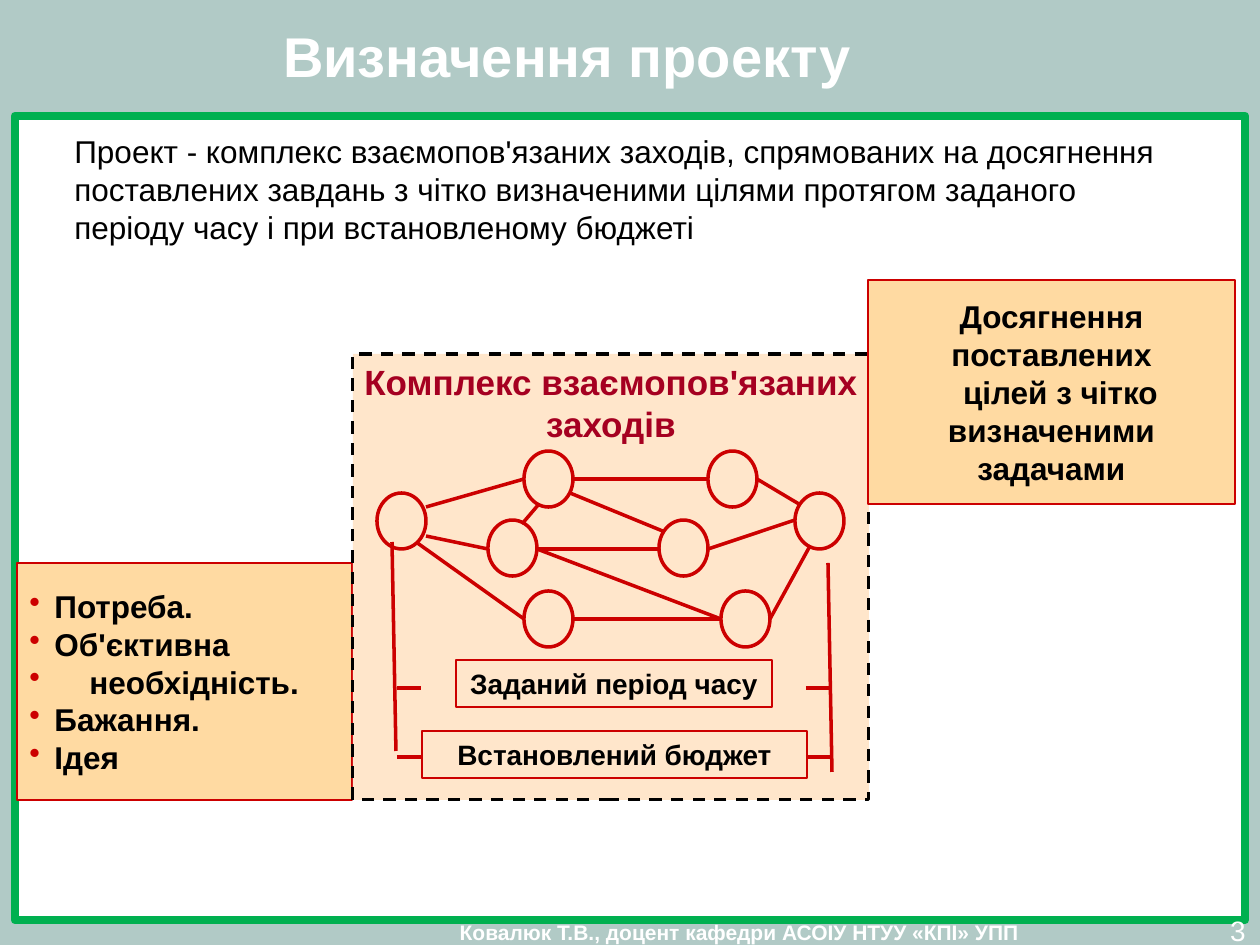
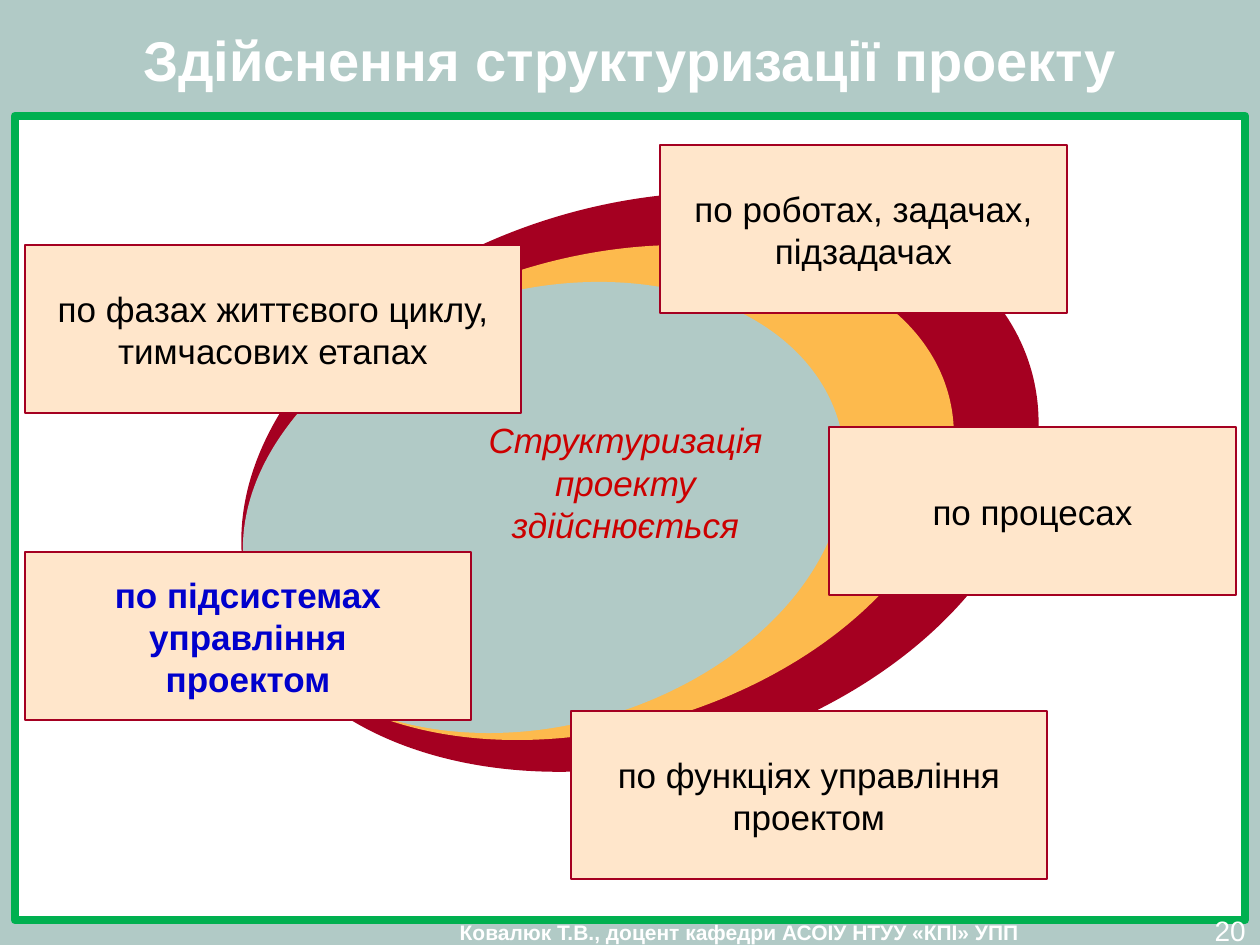
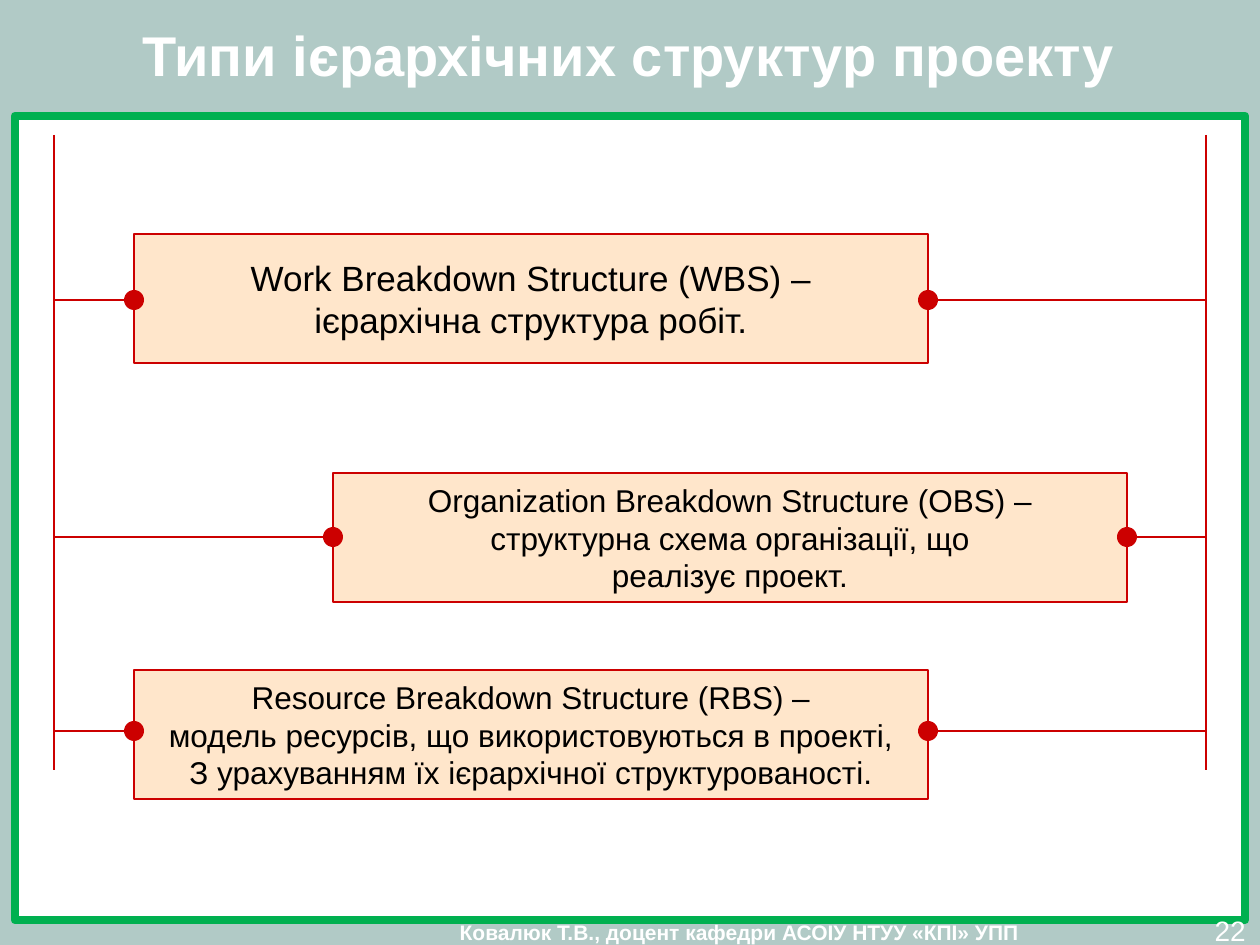
from lxml import etree
from pptx import Presentation
from pptx.dml import color as tint
from pptx.enum import dml, shapes, text
from pptx.oxml import ns
from pptx.util import Emu, Pt

COLORS = {
    "back": "B1CAC6", "white": "FFFFFF", "black": "000000", "green": "00B050",
    "red": "CC0000", "wine": "A50021", "blue": "0000CC", "amber": "FDBA4D",
    "sand": "FFDAA2", "cream": "FFE6CB",
}
FONT = "Arial"
PX = 914400 / 126
FOOTER = "Ковалюк Т.В., доцент кафедри АСОІУ НТУУ «КПІ» УПП"
RECT = shapes.MSO_SHAPE.RECTANGLE
OVAL = shapes.MSO_SHAPE.OVAL
LEFT, CENTER, RIGHT = text.PP_ALIGN.LEFT, text.PP_ALIGN.CENTER, text.PP_ALIGN.RIGHT
TOP, MIDDLE = text.MSO_ANCHOR.TOP, text.MSO_ANCHOR.MIDDLE


def px(length):
    return Emu(round(length * PX))


def rgb(name):
    return tint.RGBColor.from_string(COLORS[name])


class Deck:
    """Holds the shared style and the slide being built."""

    def __init__(self):
        self.prs = Presentation()
        self.prs.slide_width, self.prs.slide_height = px(1260), px(945)
        self.slide = None
        fill = self.prs.slide_master.background.fill
        fill.solid()
        fill.fore_color.rgb = rgb("back")

    def new_slide(self, title, title_box, number):
        self.slide = self.prs.slides.add_slide(self.prs.slide_layouts[5])
        self.label((323, 920, 833, 25), [FOOTER], size=12, color="white", bold=True,
                   align=CENTER, inset=0)
        self.box((15, 116, 1230, 804), fill="white", line="green", width=5)
        heading = self.slide.shapes.title
        for side, length in zip(("left", "top", "width", "height"), title_box):
            setattr(heading, side, px(length))
        self.set_text(heading.text_frame, [title], size=32, color="white", bold=True,
                      align=CENTER, anchor=MIDDLE)
        self.label((1186, 908, 72, 37), [number], size=16, color="white", align=RIGHT)

    def set_text(self, frame, lines, size=18, color="black", bold=False, italic=False,
                 align=LEFT, anchor=TOP, wrap=True, inset=6):
        settings = {"word_wrap": wrap, "auto_size": text.MSO_AUTO_SIZE.NONE,
                    "vertical_anchor": anchor,
                    "margin_top": px(inset), "margin_bottom": px(inset)}
        for name, value in settings.items():
            setattr(frame, name, value)
        look = {"name": FONT, "size": Pt(size), "bold": bold, "italic": italic}
        for i, line in enumerate(lines):
            para = frame.add_paragraph() if i else frame.paragraphs[0]
            para.text = line
            para.alignment = align
            for run in para.runs:
                for name, value in look.items():
                    setattr(run.font, name, value)
                run.font.color.rgb = rgb(color)

    def label(self, box, lines, **style):
        area = self.slide.shapes.add_textbox(*map(px, box))
        self.set_text(area.text_frame, lines, **style)

    def box(self, box, lines=(), kind=RECT, fill=None, line=None, width=1, dash=None,
            turn=0, **style):
        shape = self.slide.shapes.add_shape(kind, *map(px, box))
        shape.shadow.inherit = False
        shape.rotation = turn
        if fill:
            shape.fill.solid()
            shape.fill.fore_color.rgb = rgb(fill)
        else:
            shape.fill.background()
        if line:
            shape.line.color.rgb = rgb(line)
            shape.line.width = Pt(width)
            shape.line.dash_style = dash
        else:
            shape.line.fill.background()
        if lines:
            self.set_text(shape.text_frame, lines,
                          **{"align": CENTER, "anchor": MIDDLE, "wrap": False, **style})
        return shape

    def line(self, x1, y1, x2, y2, width=2):
        link = self.slide.shapes.add_connector(
            shapes.MSO_CONNECTOR.STRAIGHT, *map(px, (x1, y1, x2, y2)))
        link.line.color.rgb = rgb("red")
        link.line.width = Pt(width)
        etree.SubElement(link.element.spPr, ns.qn("a:effectLst"))

    def indent(self, para, margin, bullet=False):
        props = para._p.get_or_add_pPr()
        props.set("marL", str(px(margin)))
        props.set("indent", str(px(-margin if bullet else 0)))
        if bullet:
            bullet_color = etree.SubElement(props, ns.qn("a:buClr"))
            etree.SubElement(bullet_color, ns.qn("a:srgbClr")).set("val", COLORS["red"])
            etree.SubElement(props, ns.qn("a:buChar")).set("char", "•")


def definition_slide(deck):
    deck.new_slide("Визначення проекту", (0, 16, 1134, 79), "3")
    deck.label((62, 126, 1134, 127), [
        "Проект - комплекс взаємопов'язаних заходів, спрямованих на досягнення "
        "поставлених завдань з чітко визначеними цілями протягом заданого "
        "періоду часу і при встановленому бюджеті"])

    # Reasons for the project
    reasons = deck.box((17, 563, 335, 237),
                       ["Потреба.", "Об'єктивна", "необхідність.", "Бажання.", "Ідея"],
                       fill="sand", line="red", width=1.5, bold=True, align=LEFT)
    for i, para in enumerate(reasons.text_frame.paragraphs):
        deck.indent(para, 60 if i == 2 else 25, bullet=True)

    # Network of activities
    deck.box((353, 354, 516, 446), ["Комплекс взаємопов'язаних", "заходів"],
             fill="cream", line="black", width=1.75, dash=dml.MSO_LINE.DASH,
             size=20, color="wine", bold=True, anchor=TOP)
    activities = [(377, 493), (524, 451), (708, 451), (795, 493),
                  (659, 520), (488, 520), (524, 591), (721, 591)]
    for x, y in activities:
        deck.box((x, y, 49, 56), kind=OVAL, line="red", width=2)
    links = [
        (426, 507, 524, 479), (426, 536, 488, 549), (537, 549, 659, 549),
        (708, 549, 795, 520), (573, 479, 708, 479), (757, 479, 799, 504),
        (570, 493, 665, 532), (539, 504, 522, 524), (416, 542, 524, 619),
        (573, 619, 721, 619), (770, 619, 810, 546), (537, 549, 721, 619),
    ]
    for link in links:
        deck.line(*link)

    # Time and budget limits
    deck.line(828, 563, 832, 772)
    deck.line(392, 542, 396, 751)
    for y in (688, 757):
        deck.line(806, y, 832, y)
        deck.line(397, y, 421, y)
    limits = [((456, 660, 316, 47), "Заданий період часу"),
              ((422, 731, 385, 47), "Встановлений бюджет")]
    for box, limit in limits:
        deck.box(box, [limit], line="red", width=0.75, size=16, bold=True)

    # Result of the project
    result = deck.box((868, 280, 367, 224),
                      ["Досягнення", "поставлених", "цілей з чітко", "визначеними",
                       "задачами"],
                      fill="sand", line="red", width=1.5, bold=True)
    deck.indent(result.text_frame.paragraphs[2], 18)


def structuring_slide(deck):
    deck.new_slide("Здійснення структуризації проекту", (0, 16, 1260, 87), "20")

    # Nested ellipses
    rings = [((233, 204, 814, 556), "wine"), ((236, 257, 726, 471), "amber"),
             ((237, 290, 614, 435), "back")]
    for box, color in rings:
        deck.box(box, kind=OVAL, fill=color, turn=344)
    deck.label((432, 413, 387, 139), ["Структуризація\nпроекту\nздійснюється"],
               size=20, color="red", italic=True, align=CENTER)

    # Ways to structure the project
    ways = [
        (25, 245, 496, "по фазах життєвого циклу,\nтимчасових етапах", {}),
        (25, 552, 446, "по підсистемах\nуправління\nпроектом",
         {"color": "blue", "bold": True}),
        (571, 711, 476, "по функціях управління\nпроектом", {}),
        (660, 145, 407, "по роботах, задачах,\nпідзадачах", {}),
        (829, 427, 407, "по процесах", {}),
    ]
    for x, y, width, way, accent in ways:
        deck.box((x, y, width, 168), [way], fill="cream", line="wine", width=0.75,
                 size=20, **accent)


def hierarchy_slide(deck):
    deck.new_slide("Типи ієрархічних структур проекту", (0, 16, 1257, 77), "22")
    rails = (54, 1206)
    for x in rails:
        deck.line(x, 135, x, 770, width=1.5)

    # Each structure hangs between the two rails
    structures = [
        (134, 234, 300, 20, ["Work Breakdown Structure (WBS) –",
                             "ієрархічна структура робіт."]),
        (333, 473, 537, 18, ["Organization Breakdown Structure (OBS) –",
                             "структурна схема організації, що",
                             "реалізує проект."]),
        (134, 670, 731, 18, ["Resource Breakdown Structure (RBS) –",
                             "модель ресурсів, що використовуються в проекті,",
                             "З урахуванням їх ієрархічної структурованості."]),
    ]
    width, dot = 794, 20
    for x, y, joint, size, lines in structures:
        deck.box((x, y, width, 129), lines, fill="cream", line="red", size=size)
        for rail, edge in zip(rails, (x, x + width)):
            deck.line(rail, joint, edge, joint, width=1.5)
            deck.box((edge - dot // 2, joint - dot // 2, dot, dot), kind=OVAL, fill="red")


def main():
    deck = Deck()
    definition_slide(deck)
    structuring_slide(deck)
    hierarchy_slide(deck)
    deck.prs.save("out.pptx")


if __name__ == "__main__":
    main()
